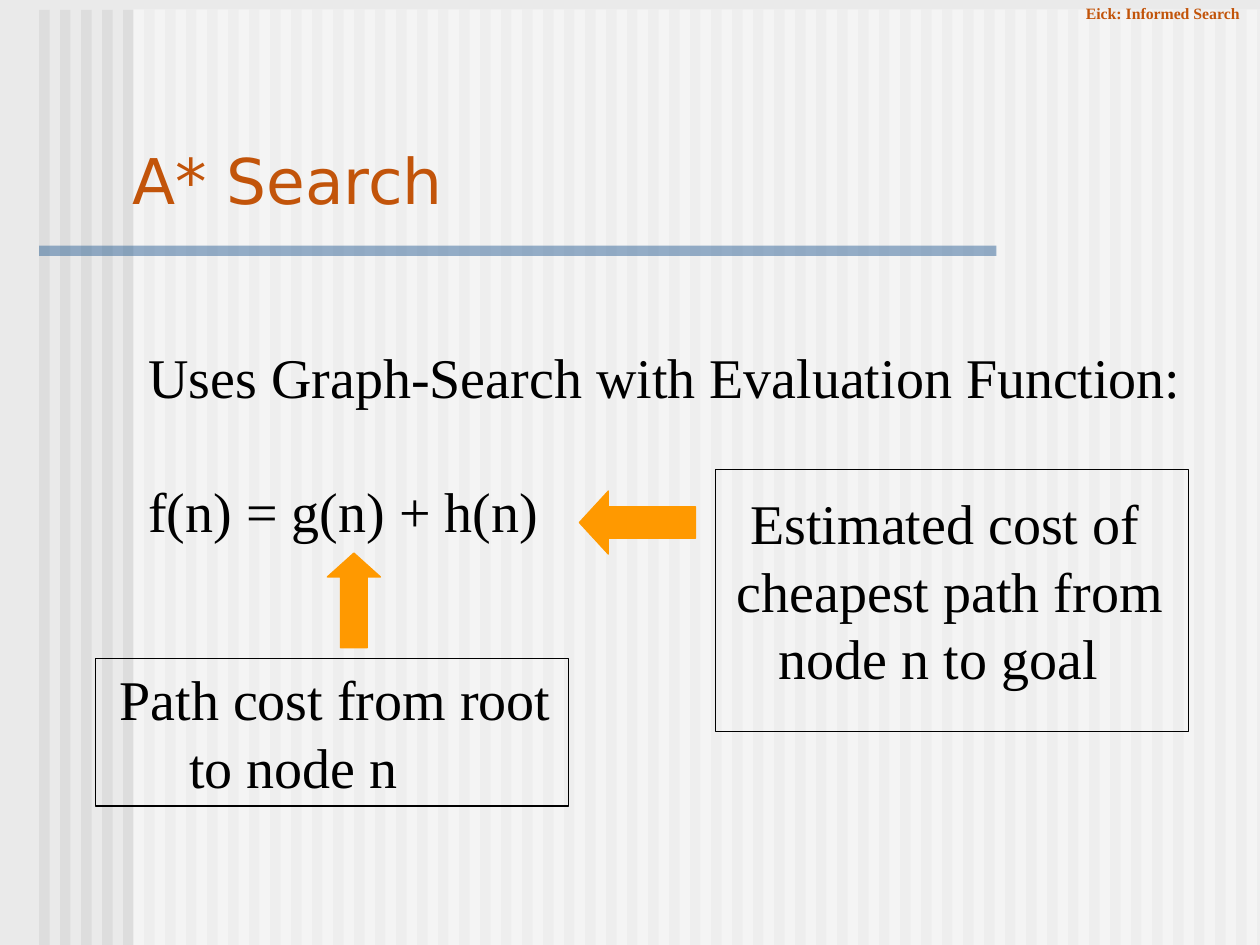
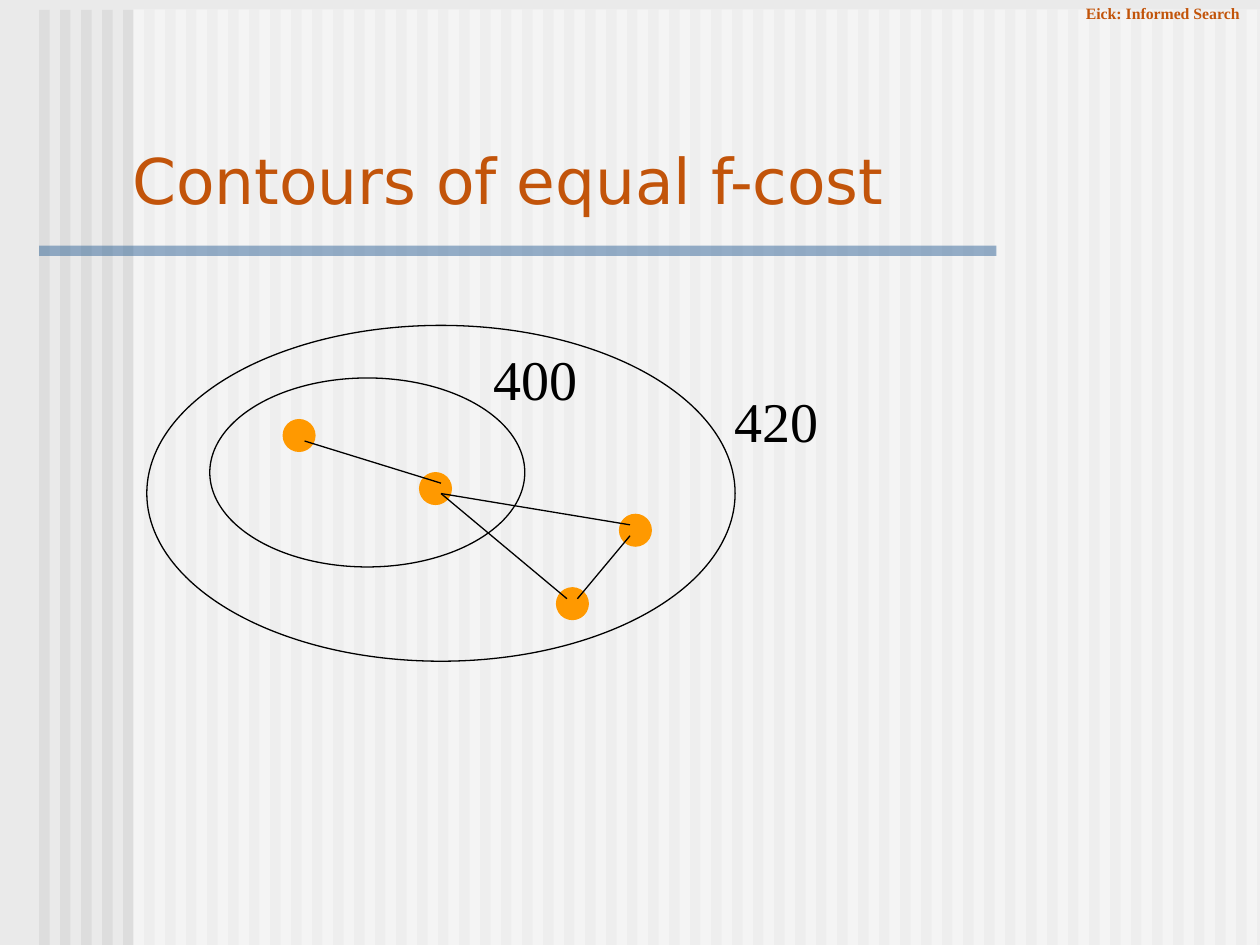
from dataclasses import dataclass
from typing import Any

from lxml import etree
from pptx import Presentation
from pptx.dml.color import RGBColor
from pptx.enum.shapes import MSO_CONNECTOR, MSO_SHAPE
from pptx.enum.text import MSO_ANCHOR, MSO_AUTO_SIZE, PP_ALIGN
from pptx.oxml.ns import qn
from pptx.util import Cm, Pt

RECTANGLE, ELLIPSE = MSO_SHAPE.RECTANGLE, MSO_SHAPE.OVAL
UP_ARROW, LEFT_ARROW = MSO_SHAPE.UP_ARROW, MSO_SHAPE.LEFT_ARROW
STRAIGHT = MSO_CONNECTOR.STRAIGHT
LEFT, BOTTOM, NO_AUTOFIT = PP_ALIGN.LEFT, MSO_ANCHOR.BOTTOM, MSO_AUTO_SIZE.NONE

# Colours, in hex
PAPER, STRIPE, WHITE, BLUE = "EAEAEA", "DDDDDD", "FFFFFF", "336699"
RUST, ORANGE, BLACK = "C2540A", "FF9900", "000000"

# Text formats
TITLE_FORMAT = {"name": "DejaVu Sans", "size": Pt(36), "color": RUST}
HEADER_FORMAT = {"name": "Times New Roman", "size": Pt(9), "bold": True, "color": RUST}
BODY_FORMAT = {"name": "Times New Roman", "size": Pt(32), "color": BLACK}

# Measures, in centimetres
PAGE_WIDTH, PAGE_HEIGHT = 25.4, 19.05
STRIPE_COUNT, STRIPE_LEFT, STRIPE_TOP, STRIPE_WIDTH = 59, 0.79, 0.2, 0.21
STRIPE_PITCH = 2.54 / 6
NODE_SIZE = 0.64


@dataclass(frozen=True)
class Area:
    left: float
    top: float
    width: float
    height: float

    def lengths(self) -> list[Cm]:
        return [Cm(value) for value in (self.left, self.top, self.width, self.height)]


@dataclass(frozen=True)
class Figure:
    kind: Any
    area: Area
    fill: str | None = None
    line: str | None = None
    opacity: int = 100
    adjustments: tuple[float, ...] = ()


@dataclass(frozen=True)
class Line:
    text: str
    indent: float = 0
    space_before: float = 0


@dataclass(frozen=True)
class Label:
    area: Area
    lines: tuple[Line, ...]


@dataclass(frozen=True)
class Edge:
    start: tuple[float, float]
    end: tuple[float, float]


def colour(hex_code: str) -> RGBColor:
    return RGBColor.from_string(hex_code)


def set_format(font: Any, values: dict[str, Any]) -> None:
    for name, value in values.items():
        if name == "color":
            font.color.rgb = colour(value)
        else:
            setattr(font, name, value)


def draw_figure(shapes: Any, figure: Figure) -> None:
    shape = shapes.add_shape(figure.kind, *figure.area.lengths())
    shape.shadow.inherit = False
    for number, value in enumerate(figure.adjustments):
        shape.adjustments[number] = value
    if figure.fill:
        shape.fill.solid()
        shape.fill.fore_color.rgb = colour(figure.fill)
    else:
        shape.fill.background()
    if figure.opacity < 100:
        fill_colour = next(shape.element.spPr.iter(qn("a:srgbClr")))
        etree.SubElement(fill_colour, qn("a:alpha"), val=str(figure.opacity * 1000))
    if figure.line:
        shape.line.color.rgb = colour(figure.line)
        shape.line.width = Pt(0.75)
    else:
        shape.line.fill.background()


def draw_label(shapes: Any, label: Label, text_format: dict[str, Any]) -> Any:
    box = shapes.add_textbox(*label.area.lengths())
    frame = box.text_frame
    frame.word_wrap = True
    for number, line in enumerate(label.lines):
        para = frame.add_paragraph() if number else frame.paragraphs[0]
        para.space_before = Pt(line.space_before)
        if line.indent:
            para._p.get_or_add_pPr().set("marL", str(Cm(line.indent)))
        span = para.add_run()
        span.text = line.text
        set_format(span.font, text_format)
    return box


def draw_edge(shapes: Any, edge: Edge) -> None:
    ends = [Cm(value) for value in edge.start + edge.end]
    connector = shapes.add_connector(STRAIGHT, *ends)
    connector.line.color.rgb = colour(BLACK)
    connector.line.width = Pt(0.75)
    etree.SubElement(connector.element.spPr, qn("a:effectLst"))


def draw_backdrop(page: Any, layout: Any) -> None:
    """Draw the shared stripes, panel, rule and header, then move them to the layout."""
    layout.background.fill.solid()
    layout.background.fill.fore_color.rgb = colour(PAPER)
    group = page.shapes.add_group_shape()

    # Stripes, the last one cut at the page edge
    for number in range(STRIPE_COUNT):
        left = STRIPE_LEFT + number * STRIPE_PITCH
        width = min(STRIPE_WIDTH, PAGE_WIDTH - left)
        area = Area(left, STRIPE_TOP, width, PAGE_HEIGHT - STRIPE_TOP)
        draw_figure(group.shapes, Figure(RECTANGLE, area, STRIPE))

    # Pale panel and title rule
    panel = Area(2.69, 0.19, PAGE_WIDTH - 2.69, PAGE_HEIGHT - 0.19)
    draw_figure(group.shapes, Figure(RECTANGLE, panel, WHITE, opacity=50))
    rule = Area(0.79, 4.95, 19.3, 0.21)
    draw_figure(group.shapes, Figure(RECTANGLE, rule, BLUE, opacity=50))

    # Running header
    header = Label(Area(21.64, 0, 3.7, 0.6), (Line("Eick: Informed Search"),))
    box = draw_label(group.shapes, header, HEADER_FORMAT)
    box.text_frame.margin_top = Cm(0.08)

    for number, node in enumerate(group.element.iter(qn("p:cNvPr")), 100):
        node.set("id", str(number))
    layout.shapes.element.insert(2, group.element)


def add_page(deck: Any, layout: Any, title: str) -> Any:
    page = deck.slides.add_slide(layout)
    box = page.shapes.title
    box.left, box.top, box.width, box.height = Area(2.41, 2.72, 22.68, 1.78).lengths()
    frame = box.text_frame
    frame.text = title
    frame.vertical_anchor = BOTTOM
    frame.auto_size = NO_AUTOFIT
    para = frame.paragraphs[0]
    para.alignment = LEFT
    set_format(para.runs[0].font, TITLE_FORMAT)
    return page


def draw_search(page: Any) -> None:
    labels = (
        Label(Area(2.74, 6.78, 21.54, 4.37), (
            Line("Uses Graph-Search with Evaluation Function:"),
            Line("f(n) = g(n) + h(n)", space_before=38.4),
        )),
        Label(Area(2.16, 13.28, 9.47, 2.97), (
            Line("Path cost from root"),
            Line("to node n", indent=1.41),
        )),
        Label(Area(14.6, 9.73, 9.4, 4.32), (
            Line("Estimated cost of", indent=0.28),
            Line("cheapest path from"),
            Line("node n to goal", indent=0.85),
        )),
    )
    figures = (
        Figure(RECTANGLE, Area(1.93, 13.28, 9.53, 2.97), line=BLACK),
        Figure(UP_ARROW, Area(6.6, 11.15, 1.07, 1.91), ORANGE, ORANGE,
               adjustments=(0.5, 0.45)),
        Figure(RECTANGLE, Area(14.43, 9.47, 9.53, 5.28), line=BLACK),
        Figure(LEFT_ARROW, Area(11.68, 9.9, 2.34, 1.27), ORANGE, ORANGE,
               adjustments=(0.5, 0.46)),
    )
    for label in labels:
        draw_label(page.shapes, label, BODY_FORMAT)
    for figure in figures:
        draw_figure(page.shapes, figure)


def draw_contours(page: Any) -> None:
    # Search nodes
    for left, top in ((5.71, 8.46), (8.46, 9.53), (12.49, 10.37), (11.22, 11.85)):
        area = Area(left, top, NODE_SIZE, NODE_SIZE)
        draw_figure(page.shapes, Figure(ELLIPSE, area, ORANGE, ORANGE))

    # Edges between the nodes
    edges = (
        Edge((6.14, 8.89), (8.89, 9.74)),
        Edge((8.89, 9.95), (12.7, 10.58)),
        Edge((12.7, 10.8), (11.64, 12.07)),
        Edge((8.89, 9.95), (11.43, 12.07)),
    )
    for edge in edges:
        draw_edge(page.shapes, edge)

    # Contours with their costs
    contours = (
        (Area(4.23, 7.62, 6.35, 3.81), "400", (9.7, 6.83)),
        (Area(2.96, 6.56, 11.86, 6.77), "420", (14.55, 7.67)),
    )
    for area, cost, (left, top) in contours:
        draw_figure(page.shapes, Figure(ELLIPSE, area, line=BLACK))
        label = Label(Area(left, top, 2.21, 1.6), (Line(cost),))
        draw_label(page.shapes, label, BODY_FORMAT)


def main() -> None:
    deck = Presentation()
    deck.slide_width, deck.slide_height = Cm(PAGE_WIDTH), Cm(PAGE_HEIGHT)
    layout = deck.slide_layouts.get_by_name("Title Only")

    search = add_page(deck, layout, "A* Search")
    draw_backdrop(search, layout)
    draw_search(search)

    draw_contours(add_page(deck, layout, "Contours of equal f-cost"))
    deck.save("out.pptx")


if __name__ == "__main__":
    main()
